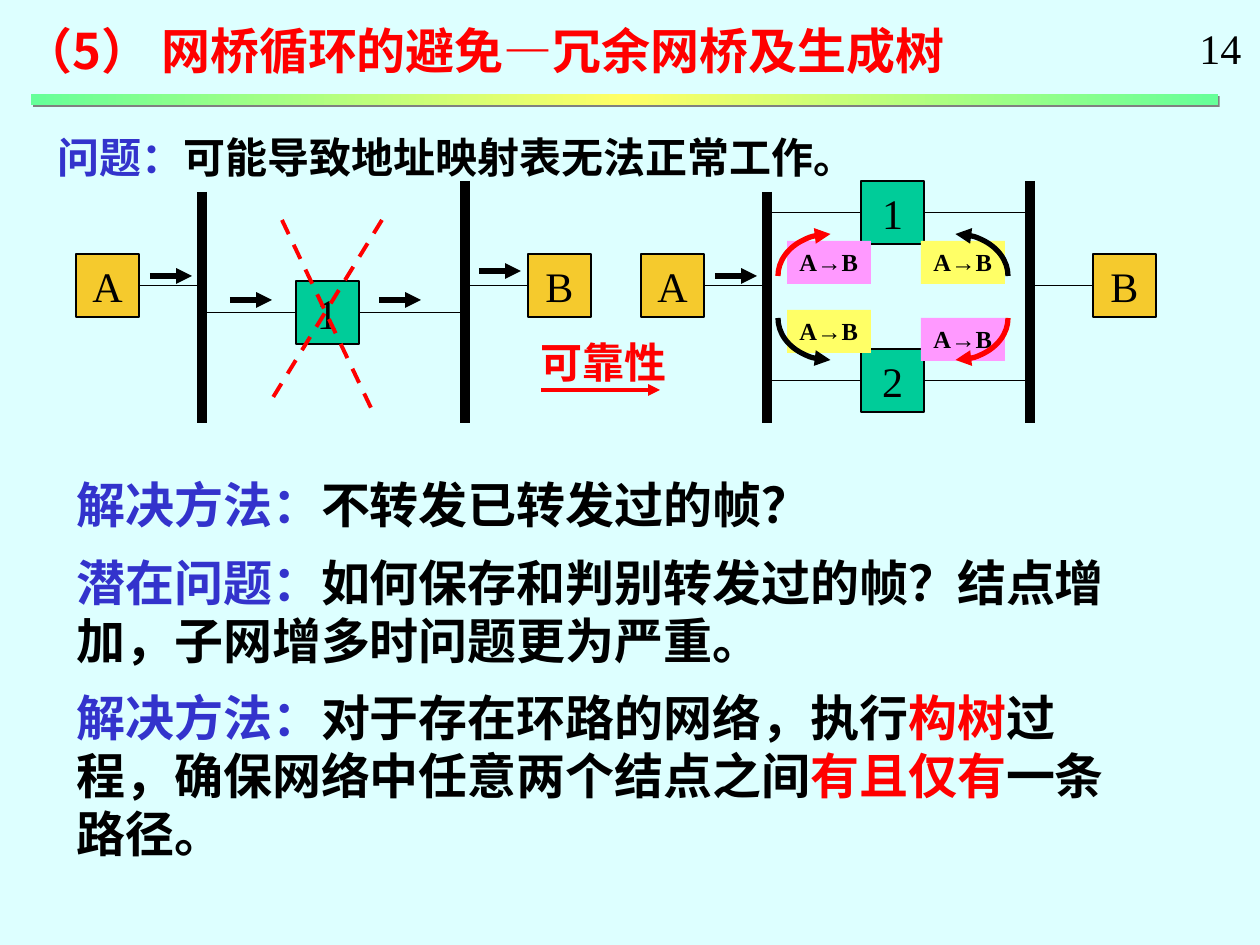
from lxml import etree
from pptx import Presentation
from pptx.dml.color import RGBColor
from pptx.enum.dml import MSO_LINE
from pptx.enum.shapes import MSO_CONNECTOR, MSO_SHAPE
from pptx.enum.text import MSO_ANCHOR, MSO_AUTO_SIZE, PP_ALIGN
from pptx.oxml import parse_xml
from pptx.oxml.ns import nsdecls, qn
from pptx.util import Pt

PX = 914400 / 126
SANS, SERIF = "Noto Sans CJK SC", "Times New Roman"
RECTANGLE, ARC = MSO_SHAPE.RECTANGLE, MSO_SHAPE.ARC
STRAIGHT = MSO_CONNECTOR.STRAIGHT
DASH = MSO_LINE.DASH
LEFT_SIDE, RIGHT_SIDE = 1, 3
NODE_SIZE = 63
NETWORK_STEP = 565
COLORS = {
    "background": "DDFFFF", "black": "000000", "blue": "3333CC", "red": "FF0000",
    "bridge": "00CC99", "host": "F5CA2D", "pink": "FF99FF", "yellow": "FFFF66",
    "green": "66FF99", "shadow": "808080",
}


def px(value):
    return round(value * PX)


def color(name):
    return RGBColor.from_string(COLORS[name])


def write(box, paragraphs, size=24, font=SERIF, bold=False, align=PP_ALIGN.LEFT,
          anchor=MSO_ANCHOR.TOP, wrap=False, grow=True, line_height=None, gap=0):
    """Fill a box with paragraphs, each a list of (text, colour name)."""
    frame = box.text_frame
    frame.word_wrap = wrap
    frame.vertical_anchor = anchor
    frame.auto_size = MSO_AUTO_SIZE.SHAPE_TO_FIT_TEXT if grow else MSO_AUTO_SIZE.NONE
    for index, spans in enumerate(paragraphs):
        para = frame.add_paragraph() if index else frame.paragraphs[0]
        para.alignment = align
        para.space_before = Pt(gap if index else 0)
        para._p.get_or_add_pPr().set("hangingPunct", "0")
        if line_height:
            para.line_spacing = Pt(line_height)
        for text, color_name in spans:
            span = para.add_run()
            span.text = text
            span.font.size = Pt(size)
            span.font.bold = bold
            span.font.name = font
            span.font.color.rgb = color(color_name)
            east_asian = etree.SubElement(span.font._element, qn("a:ea"))
            east_asian.set("typeface", SANS)


def add_text(page, left, top, width, height, paragraphs, **text_format):
    box = page.shapes.add_textbox(px(left), px(top), px(width), px(height))
    write(box, paragraphs, **text_format)


def add_box(page, left, top, width, height, fill, outlined=False):
    box = page.shapes.add_shape(RECTANGLE, px(left), px(top), px(width), px(height))
    box.shadow.inherit = False
    box.fill.solid()
    box.fill.fore_color.rgb = color(fill)
    if outlined:
        box.line.color.rgb = color("black")
        box.line.width = Pt(0.75)
    else:
        box.line.fill.background()
    return box


def add_node(page, left, top, label, fill):
    node = add_box(page, left, top, NODE_SIZE, NODE_SIZE, fill, outlined=True)
    write(node, [[(label, "black")]], align=PP_ALIGN.CENTER,
          anchor=MSO_ANCHOR.MIDDLE, grow=False)
    return node


def style_line(shape, color_name, width, arrow_end=None):
    shape.line.color.rgb = color(color_name)
    shape.line.width = Pt(width)
    if arrow_end:
        end = etree.SubElement(shape.line._get_or_add_ln(), qn(f"a:{arrow_end}"))
        end.set("type", "triangle")


def add_line(page, start, finish, color_name="black", width=0.75, arrow_end=None, dash=None):
    line = page.shapes.add_connector(STRAIGHT, *map(px, start + finish))
    if dash:
        line.line.dash_style = dash
    style_line(line, color_name, width, arrow_end)
    etree.SubElement(line._element.spPr, qn("a:effectLst"))


def add_link(page, node, side, bus_x):
    """Join the middle of a node's side to a vertical bus."""
    middle = node.top + node.height // 2
    link = page.shapes.add_connector(STRAIGHT, px(bus_x), middle, px(bus_x), middle)
    link.begin_connect(node, side)
    style_line(link, "black", 0.75)
    etree.SubElement(link._element.spPr, qn("a:effectLst"))


def add_arrow(page, left, y):
    add_line(page, (left, y), (left + 42, y), width=3, arrow_end="tailEnd")


def add_quarter_arc(page, left, top, start_angle, color_name, arrow_end):
    arc = page.shapes.add_shape(ARC, px(left), px(top), px(105), px(84))
    arc.shadow.inherit = False
    # Adjustments count 60000ths of a degree, scaled by 100000
    arc.adjustments[0] = start_angle * 0.6
    arc.adjustments[1] = (start_angle + 90) % 360 * 0.6
    arc.fill.background()
    style_line(arc, color_name, 3, arrow_end)


def add_title_bar(page):
    bar = add_box(page, 31, 94, 1187, 11, "green")
    bar.fill.gradient()
    bar.fill.gradient_angle = 0
    stops = bar._element.spPr.find(qn("a:gradFill")).find(qn("a:gsLst"))
    for stop in list(stops):
        stops.remove(stop)
    for position, name in ((0, "green"), (50, "yellow"), (100, "green")):
        stops.append(parse_xml(
            f'<a:gs {nsdecls("a")} pos="{position * 1000}">'
            f'<a:srgbClr val="{COLORS[name]}"/></a:gs>'))
    effects = bar._element.spPr.find(qn("a:effectLst"))
    effects.append(parse_xml(
        f'<a:outerShdw {nsdecls("a")} dist="{Pt(1.4)}" dir="2700000" algn="ctr" '
        f'rotWithShape="0"><a:srgbClr val="{COLORS["shadow"]}"/></a:outerShdw>'))


def add_network(page, left, bridges):
    """Draw hosts A and B, two buses and the bridges between them."""
    left_bus, right_bus = left + 126, left + 389
    for label, top in bridges:
        bridge = add_node(page, left + 220, top, label, "bridge")
        add_link(page, bridge, LEFT_SIDE, left_bus)
        add_link(page, bridge, RIGHT_SIDE, right_bus)
    add_link(page, add_node(page, left, 254, "A", "host"), RIGHT_SIDE, left_bus)
    add_link(page, add_node(page, left + 452, 254, "B", "host"), LEFT_SIDE, right_bus)
    for bus_x, top in ((left_bus, 192), (right_bus, 181)):
        add_line(page, (bus_x, top), (bus_x, 423), width=6)
    add_arrow(page, left + 74, 276)


def main():
    deck = Presentation()
    deck.slide_width, deck.slide_height = px(1260), px(945)
    page = deck.slides.add_slide(deck.slide_layouts[6])
    page.background.fill.solid()
    page.background.fill.fore_color.rgb = color("background")

    # Heading
    add_text(page, 11, 15, 977, 72, [[("（5） 网桥循环的避免—冗余网桥及生成树", "red")]],
             size=28, font=SANS, bold=True, wrap=True, line_height=33)
    add_text(page, 1187, 16, 67, 63, [[("14", "black")]])
    add_title_bar(page)

    # Problem and solutions
    add_text(page, 45, 127, 1095, 63,
             [[("问题：", "blue"), ("可能导致地址映射表无法正常工作。", "black")]],
             font=SANS, bold=True, wrap=True, line_height=28)
    add_text(page, 64, 497, 1063, 344, [
        [("解决方法：", "blue"), ("不转发已转发过的帧？", "black")],
        [("潜在问题：", "blue"),
         ("如何保存和判别转发过的帧？结点增加，子网增多时问题更为严重。", "black")],
        [("解决方法：", "blue"), ("对于存在环路的网络，执行", "black"), ("构树", "red"),
         ("过程，确保网络中任意两个结点之间", "black"), ("有且仅有", "red"),
         ("一条路径。", "black")],
    ], size=28, font=SANS, bold=True, anchor=MSO_ANCHOR.MIDDLE, wrap=True,
        line_height=33.2, gap=11)

    # Single bridge that fails
    add_network(page, 76, [("1", 281)])
    for left, y in ((230, 300), (379, 300), (479, 271)):
        add_arrow(page, left, y)
    for start, finish in (((282, 220), (372, 410)), ((382, 220), (272, 399))):
        add_line(page, start, finish, "red", 2.25, dash=DASH)

    # Step towards reliability
    add_text(page, 528, 332, 151, 63, [[("可靠性", "red")]], bold=True, line_height=28)
    add_line(page, (541, 390), (660, 390), "red", 2.25, arrow_end="tailEnd")

    # Redundant bridges with a loop
    add_network(page, 76 + NETWORK_STEP, [("1", 181), ("2", 349)])
    for left, top, fill in ((921, 318, "pink"), (787, 241, "pink"),
                            (921, 241, "yellow"), (787, 310, "yellow")):
        label = add_box(page, left, top, 84, 43, fill)
        write(label, [[("A→B", "black")]], size=14, bold=True, grow=False)
    for left, top, angle, name, arrow_end in (
            (903, 276, 0, "red", "tailEnd"), (903, 234, 270, "black", "headEnd"),
            (778, 234, 180, "red", "tailEnd"), (778, 276, 90, "black", "headEnd")):
        add_quarter_arc(page, left, top, angle, name, arrow_end)

    deck.save("out.pptx")


if __name__ == "__main__":
    main()
